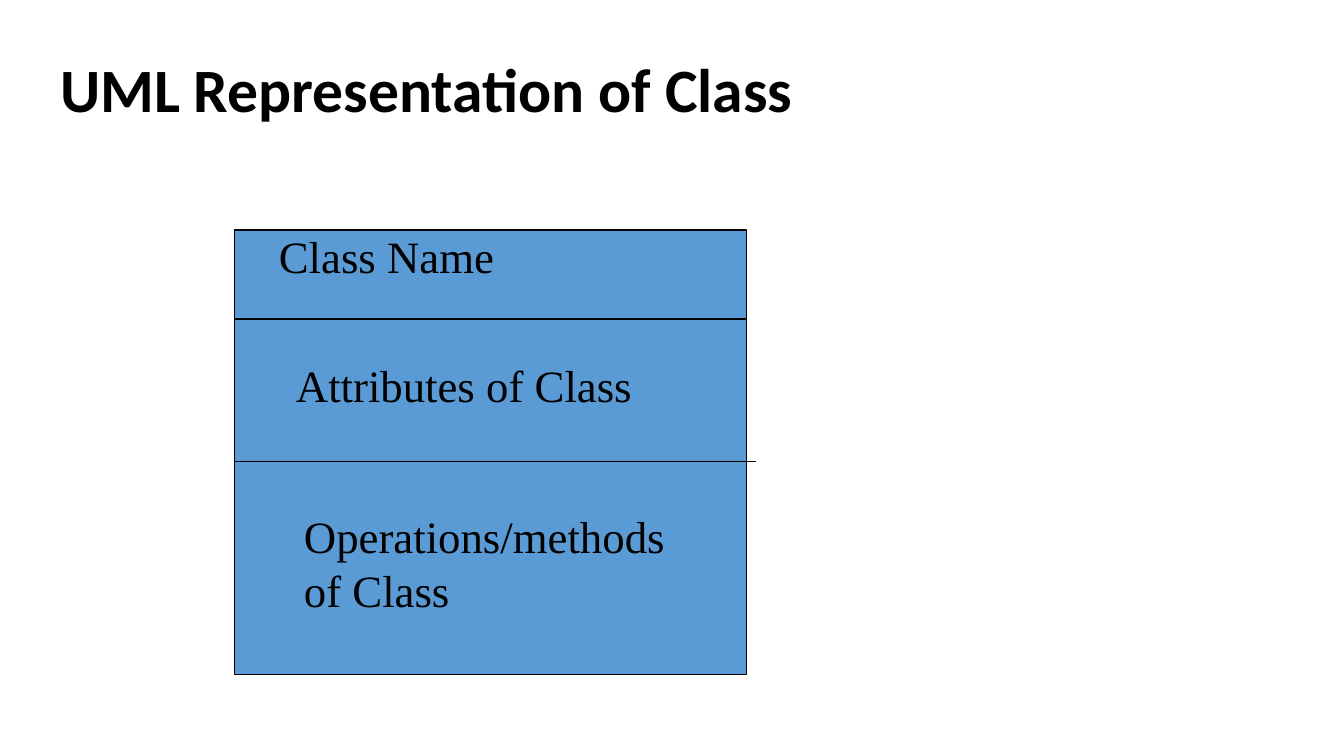
"""Build the slide that shows the UML representation of a class."""
from lxml import etree
from pptx import Presentation
from pptx.dml.color import RGBColor
from pptx.enum.shapes import MSO_CONNECTOR, MSO_SHAPE
from pptx.enum.text import MSO_ANCHOR, PP_ALIGN
from pptx.oxml.ns import qn
from pptx.util import Pt

RECTANGLE = MSO_SHAPE.RECTANGLE
STRAIGHT = MSO_CONNECTOR.STRAIGHT
MIDDLE = MSO_ANCHOR.MIDDLE
LEFT = PP_ALIGN.LEFT

TITLE = "UML Representation of Class"
TITLE_BOX = (50, 30, 907, 126)
CLASS_BOX = (235, 230, 512, 445)
DIVIDERS = [(319, 747), (462, 756)]
COMPARTMENTS = [
    ("Class Name", (269, 224, 361, 63)),
    ("Attributes of Class", (286, 353, 403, 63)),
    ("Operations/methods of Class", (294, 504, 428, 118)),
]
COLORS = {"text": "000000", "line": "000000", "class": "5B9BD5"}
EMU_PER_PIXEL = 914400 / 100.8


def emu(*pixels):
    return [round(pixel * EMU_PER_PIXEL) for pixel in pixels]


def color(name):
    return RGBColor.from_string(COLORS[name])


def write(shape, text, font_name, size, bold=False):
    frame = shape.text_frame
    frame.word_wrap = True
    frame.text = text
    paragraph = frame.paragraphs[0]
    paragraph.alignment = LEFT
    paragraph.font.name = font_name
    paragraph.font.size = Pt(size)
    paragraph.font.bold = bold
    paragraph.font.color.rgb = color("text")
    return paragraph


def style_line(line):
    line.color.rgb = color("line")
    line.width = Pt(0.75)


presentation = Presentation()
presentation.slide_width, presentation.slide_height = emu(1344, 756)
slide = presentation.slides.add_slide(presentation.slide_layouts[5])

title = slide.shapes.title
title.left, title.top, title.width, title.height = emu(*TITLE_BOX)
write(title, TITLE, "Calibri", 44, bold=True).line_spacing = 0.9
title.text_frame.vertical_anchor = MIDDLE

class_box = slide.shapes.add_shape(RECTANGLE, *emu(*CLASS_BOX))
class_box.shadow.inherit = False
class_box.fill.solid()
class_box.fill.fore_color.rgb = color("class")
style_line(class_box.line)

for y, right in DIVIDERS:
    divider = slide.shapes.add_connector(STRAIGHT, *emu(CLASS_BOX[0], y, right, y))
    style_line(divider.line)
    etree.SubElement(divider._element.spPr, qn("a:effectLst"))

for text, box in COMPARTMENTS:
    label = slide.shapes.add_textbox(*emu(*box))
    write(label, text, "Times New Roman", 32).space_before = Pt(16)

presentation.save("out.pptx")
